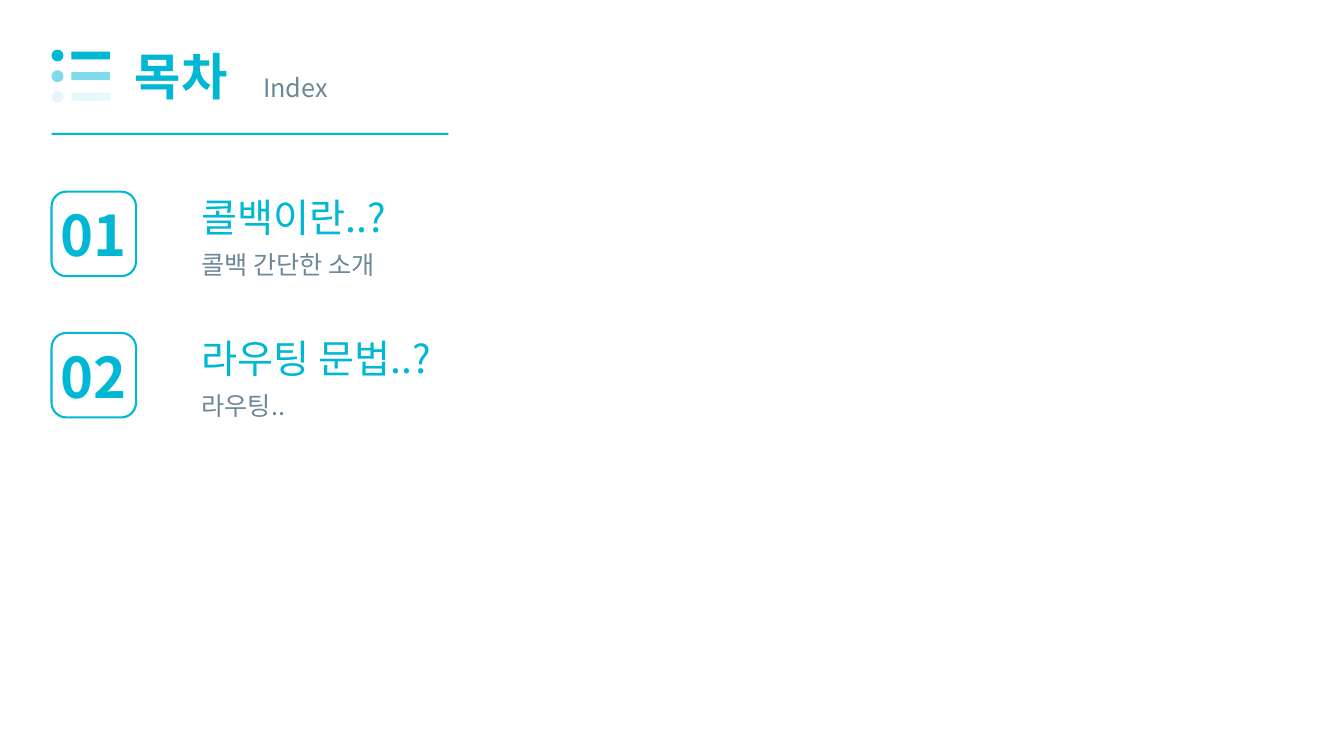
from dataclasses import dataclass

from lxml import etree
from pptx import Presentation
from pptx import util as u
from pptx.dml.color import RGBColor
from pptx.enum import shapes, text
from pptx.oxml.ns import qn

TITLE = "목차"
SUBTITLE = "Index"
TOPICS = [
    ("01", "콜백이란..?", "콜백 간단한 소개"),
    ("02", "라우팅 문법..?", "라우팅.."),
]
ICON_OPACITIES = [100, 50, 10]


@dataclass(frozen=True)
class Theme:
    font: str = "Noto Sans CJK KR"
    accent: str = "00B8D4"
    muted: str = "6C8898"
    title: int = 36
    number: int = 40
    heading: int = 28
    note: int = 18


theme = Theme()
LEFT = 1.3
ICON_TOP, ICON_PITCH = 1.25, 0.52
TOPIC_TOP, TOPIC_PITCH = 4.83, 3.56
TOPIC_TEXT_LEFT = 4.83
BADGE = 2.13


def place(*lengths):
    return [u.Cm(length) for length in lengths]


def add_solid(page, kind, position, opacity=100):
    shape = page.shapes.add_shape(kind, *place(*position))
    shape.shadow.inherit = False
    shape.fill.solid()
    shape.fill.fore_color.rgb = RGBColor.from_string(theme.accent)
    shape.line.fill.background()
    if opacity < 100:
        color = shape.fill._xPr.find(".//" + qn("a:srgbClr"))
        etree.SubElement(color, qn("a:alpha"), val=str(opacity * 1000))


def add_badge(page, top):
    badge = page.shapes.add_shape(
        shapes.MSO_SHAPE.ROUNDED_RECTANGLE, *place(LEFT, top, BADGE, BADGE))
    badge.adjustments[0] = 0.175
    badge.shadow.inherit = False
    badge.fill.background()
    badge.line.color.rgb = RGBColor.from_string(theme.accent)
    badge.line.width = u.Pt(1.5)


def add_label(page, words, position, size, color, bold=False):
    box = page.shapes.add_textbox(*place(*position))
    frame = box.text_frame
    frame.word_wrap = True
    frame.auto_size = text.MSO_AUTO_SIZE.SHAPE_TO_FIT_TEXT
    para = frame.paragraphs[0]
    span = para.add_run()
    span.text = words
    span.font.size = u.Pt(size)
    span.font.bold = bold
    span.font.color.rgb = RGBColor.from_string(color)
    span.font.name = theme.font
    etree.SubElement(span.font._element, qn("a:ea"), typeface=theme.font)


def add_header(page):
    for row, opacity in enumerate(ICON_OPACITIES):
        top = ICON_TOP + row * ICON_PITCH
        add_solid(page, shapes.MSO_SHAPE.RECTANGLE, (1.8, top + 0.05, 0.97, 0.2), opacity)
        add_solid(page, shapes.MSO_SHAPE.OVAL, (LEFT, top, 0.3, 0.3), opacity)
    add_label(page, TITLE, (3.15, 1.02, 3.4, 1.8), theme.title, theme.accent, True)
    add_label(page, SUBTITLE, (6.38, 1.7, 3.12, 1.02), theme.note, theme.muted)
    add_solid(page, shapes.MSO_SHAPE.RECTANGLE, (LEFT, 3.35, 10, 0.05))


def add_topic(page, top, number, heading, note):
    add_badge(page, top)
    add_label(page, number, (1.27, top + 0.11, 2.74, 1.96),
              theme.number, theme.accent, True)
    add_label(page, heading, (TOPIC_TEXT_LEFT, top - 0.08, 14.43, 1.45),
              theme.heading, theme.accent)
    add_label(page, note, (TOPIC_TEXT_LEFT, top + 1.33, 12.3, 1.02),
              theme.note, theme.muted)


def main():
    deck = Presentation()
    deck.slide_width, deck.slide_height = place(33.87, 19.05)
    page = deck.slides.add_slide(deck.slide_layouts[6])
    add_header(page)
    for row, topic in enumerate(TOPICS):
        add_topic(page, TOPIC_TOP + row * TOPIC_PITCH, *topic)
    deck.save("out.pptx")


if __name__ == "__main__":
    main()
